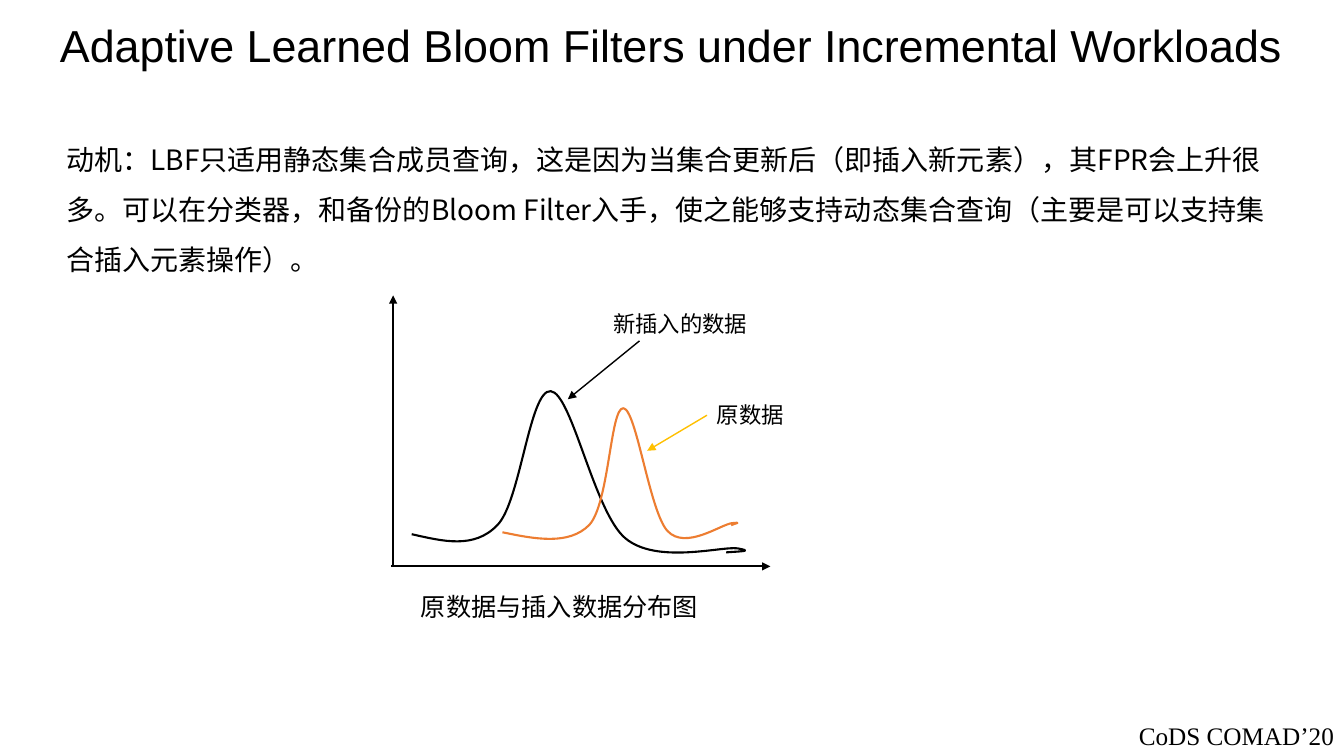
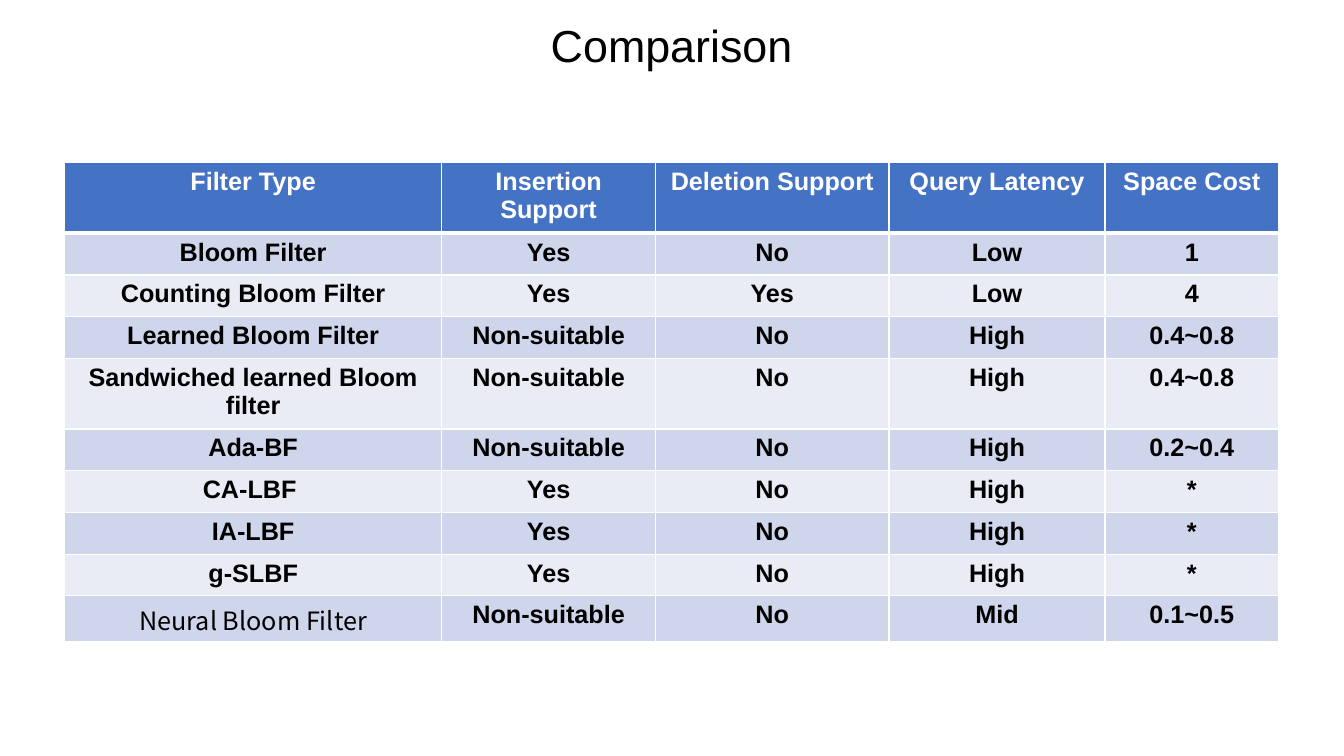
from lxml import etree
from pptx import Presentation
from pptx.dml.color import RGBColor
from pptx.enum.shapes import MSO_CONNECTOR
from pptx.enum.text import MSO_ANCHOR, PP_ALIGN
from pptx.oxml.ns import qn
from pptx.util import Pt

STRAIGHT = MSO_CONNECTOR.STRAIGHT
TOP, MIDDLE = MSO_ANCHOR.TOP, MSO_ANCHOR.MIDDLE
LEFT, CENTER, RIGHT = PP_ALIGN.LEFT, PP_ALIGN.CENTER, PP_ALIGN.RIGHT

SLIDE_W, SLIDE_H = 960, 540
LATIN, CJK, SERIF = "Arial", "Noto Sans CJK SC", "Times New Roman"
BLACK, WHITE, ORANGE, GOLD = "000000", "FFFFFF", "ED7D31", "FFC000"
HEADER_BLUE, BANDS = "4472C4", ("CFD5EA", "E9EBF5")

MOTIVATION = (
    "动机：LBF只适用静态集合成员查询，这是因为当集合更新后（即插入新元素），其FPR会上升很多。"
    "可以在分类器，和备份的Bloom Filter入手，使之能够支持动态集合查询"
    "（主要是可以支持集合插入元素操作）。"
)

# Each curve: a start point, then two control points and an end point per segment.
NEW_DATA_CURVE = [
    (14.8, 170.6),
    (37.1, 175.6), (59.4, 181.4), (76, 164.1),
    (92.5, 147.6), (99, 66.9), (114.1, 68.4),
    (129.2, 69.8), (145.1, 154.8), (167.4, 173.5),
    (189.7, 192.2), (235.8, 179.2), (247.3, 180.7),
    (259.6, 182.8), (249.5, 182.8), (239.4, 183.6),
]
OLD_DATA_CURVE = [
    (79.6, 169.2),
    (103.3, 174.2), (127.1, 178.5), (141.5, 164.1),
    (155.9, 149), (156.6, 79.9), (166, 80.6),
    (175.3, 81.3), (184.7, 154.8), (197.6, 168.4),
    (210.6, 182.1), (235.8, 163.4), (243.7, 162.7),
    (250.9, 162), (246.6, 162.7), (243, 164.1),
]

COLUMN_WIDTHS = (269.3, 152.8, 166.7, 154.4, 124)
ROW_H, TWO_LINE_H, LAST_H = 29.8, 47.3, 33
COMPARISON = [
    ("Filter Type", "Insertion Support", "Deletion Support", "Query Latency", "Space Cost"),
    ("Bloom Filter", "Yes", "No", "Low", "1"),
    ("Counting Bloom Filter", "Yes", "Yes", "Low", "4"),
    ("Learned Bloom Filter", "Non-suitable", "No", "High", "0.4~0.8"),
    ("Sandwiched learned Bloom filter", "Non-suitable", "No", "High", "0.4~0.8"),
    ("Ada-BF", "Non-suitable", "No", "High", "0.2~0.4"),
    ("CA-LBF ", "Yes", "No", "High", "*"),
    ("IA-LBF", "Yes", "No", "High", "*"),
    ("g-SLBF", "Yes", "No", "High", "*"),
    ("Neural Bloom Filter", "Non-suitable", "No", "Mid", "0.1~0.5"),
]
ROW_HEIGHTS = [TWO_LINE_H, *[ROW_H] * 3, TWO_LINE_H, *[ROW_H] * 4, LAST_H]


def rgb(value):
    return RGBColor.from_string(value)


def write(frame, text, size=18, font=LATIN, color=BLACK, bold=False,
          align=LEFT, spacing=None, before=None):
    paragraph = frame.paragraphs[0]
    paragraph.alignment = align
    paragraph.line_spacing = spacing
    paragraph.space_before = before
    run = paragraph.add_run()
    run.text = text
    run.font.size = Pt(size)
    run.font.name = font
    run.font.bold = bold
    run.font.color.rgb = rgb(color)
    east_asian = etree.Element(qn("a:ea"), typeface=font)
    run.font._element.find(qn("a:latin")).addnext(east_asian)


def add_text(slide, box, text, anchor=TOP, **text_format):
    frame = slide.shapes.add_textbox(*map(Pt, box)).text_frame
    frame.word_wrap = True
    frame.vertical_anchor = anchor
    write(frame, text, **text_format)


def add_title(slide, text):
    add_text(slide, (0, 0, SLIDE_W - 0.5, 69), text, anchor=MIDDLE,
             size=32, align=CENTER, spacing=0.9)


def add_arrow(slide, start, end, color=BLACK, width=1):
    arrow = slide.shapes.add_connector(STRAIGHT, *map(Pt, (*start, *end)))
    arrow.line.color.rgb = rgb(color)
    arrow.line.width = Pt(width)
    etree.SubElement(arrow.line._get_or_add_ln(), qn("a:tailEnd"), type="triangle")
    etree.SubElement(arrow._element.spPr, qn("a:effectLst"))


def add_curve(slide, knots, color):
    """Draw a freeform through the end points, then bend each segment to its controls."""
    points = [(Pt(x), Pt(y)) for x, y in knots]
    anchors = points[::3]
    builder = slide.shapes.build_freeform(*anchors[0])
    builder.add_line_segments(anchors[1:], close=False)
    curve = builder.convert_to_shape()
    curve.shadow.inherit = False
    curve.fill.background()
    curve.line.color.rgb = rgb(color)
    curve.line.width = Pt(1.5)

    for index, segment in enumerate(list(curve._element.iter(qn("a:lnTo")))):
        bend = etree.Element(qn("a:cubicBezTo"))
        for x, y in points[3 * index + 1:3 * index + 4]:
            etree.SubElement(bend, qn("a:pt"), x=str(x - curve.left), y=str(y - curve.top))
        segment.getparent().replace(segment, bend)


def add_distribution_plot(slide, left, top):
    def at(x, y):
        return left + x, top + y

    add_arrow(slide, at(0, 193.6), at(271, 193.6), width=1.5)
    add_arrow(slide, at(1.5, 193.6), at(1.5, 0), width=1.5)
    for knots, color in ((NEW_DATA_CURVE, BLACK), (OLD_DATA_CURVE, ORANGE)):
        add_curve(slide, [at(*knot) for knot in knots], color)

    callouts = (
        ("新插入的数据", (151.6, 6.8), (177.5, 32.5), (126.3, 74.2), BLACK),
        ("原数据", (225.7, 72), (225.7, 85.6), (183, 111), GOLD),
    )
    for label, corner, tail, tip, color in callouts:
        add_arrow(slide, at(*tail), at(*tip), color)
        add_text(slide, (*at(*corner), 139, 27), label, size=16, font=CJK)
    add_text(slide, (*at(14.3, 208), 254, 29), "原数据与插入数据分布图")


def set_borders(cell, top, bottom):
    properties = cell._tc.get_or_add_tcPr()
    for side, width in (("L", 1), ("R", 1), ("T", top), ("B", bottom)):
        line = etree.SubElement(properties, qn(f"a:ln{side}"), w=str(Pt(width)))
        fill = etree.SubElement(line, qn("a:solidFill"))
        etree.SubElement(fill, qn("a:srgbClr"), val=WHITE)


def add_comparison_table(slide, left, top):
    table = slide.shapes.add_table(
        len(COMPARISON), len(COLUMN_WIDTHS),
        *map(Pt, (left, top, sum(COLUMN_WIDTHS), sum(ROW_HEIGHTS)))).table
    for column, width in zip(table.columns, COLUMN_WIDTHS):
        column.width = Pt(width)
    for r, (values, height) in enumerate(zip(COMPARISON, ROW_HEIGHTS)):
        table.rows[r].height = Pt(height)
        is_header = r == 0
        for c, value in enumerate(values):
            cell = table.cell(r, c)
            set_borders(cell, top=3 if r == 1 else 1, bottom=3 if is_header else 1)
            cell.fill.solid()
            cell.fill.fore_color.rgb = rgb(HEADER_BLUE if is_header else BANDS[(r - 1) % 2])
            is_neural = value == "Neural Bloom Filter"
            write(cell.text_frame, value, align=CENTER,
                  font=CJK if is_neural else LATIN, bold=not is_neural,
                  color=WHITE if is_header else BLACK)


def build_motivation_slide(slide):
    add_title(slide, "Adaptive Learned Bloom Filters under Incremental Workloads")
    add_text(slide, (40.4, 86, 875, 115), MOTIVATION,
             size=20, font=CJK, spacing=1.5, before=Pt(10))
    add_distribution_plot(slide, 279.3, 211)
    add_text(slide, (758, 511, 202, 29), "CoDS COMAD’20", font=SERIF, align=RIGHT)


def build_comparison_slide(slide):
    add_title(slide, "Comparison")
    add_comparison_table(slide, 46.2, 116.2)


def main():
    deck = Presentation()
    deck.slide_width, deck.slide_height = Pt(SLIDE_W), Pt(SLIDE_H)
    blank = deck.slide_layouts[6]
    for build in (build_motivation_slide, build_comparison_slide):
        build(deck.slides.add_slide(blank))
    deck.save("out.pptx")


if __name__ == "__main__":
    main()
